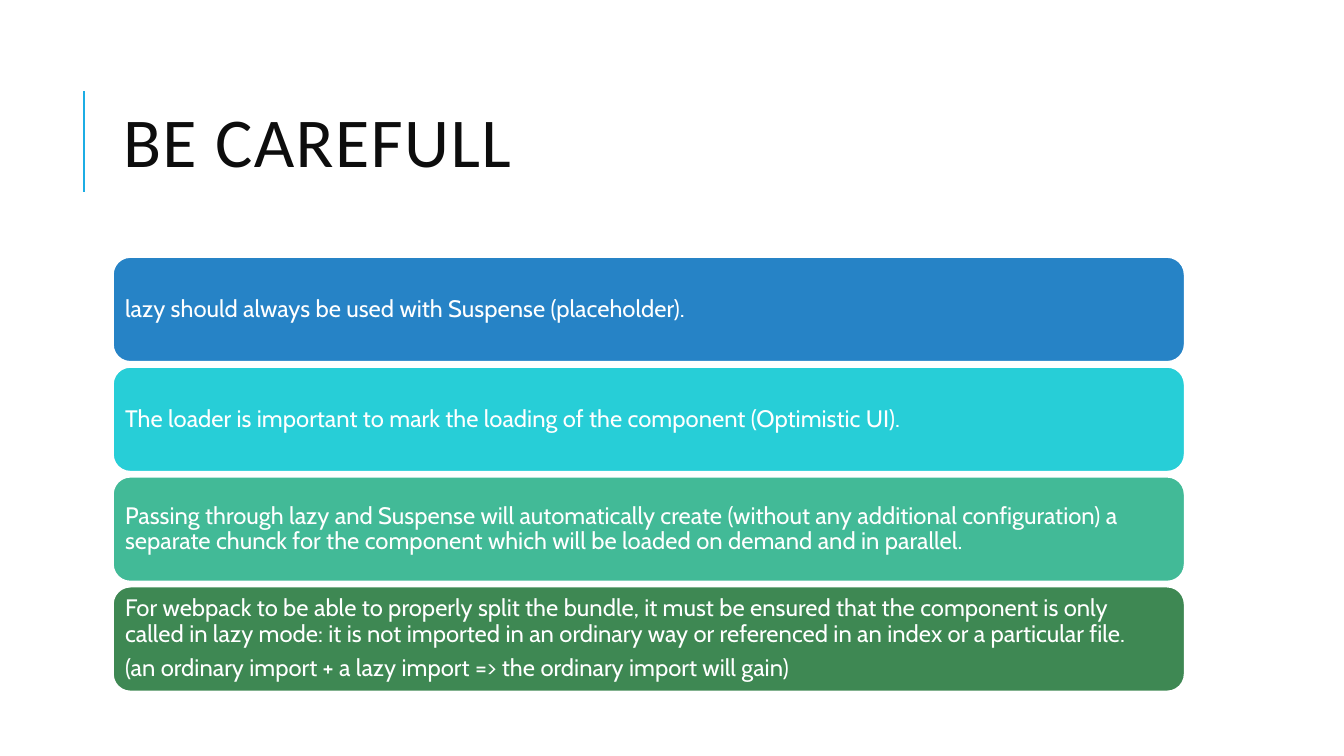
from dataclasses import dataclass

from pptx import Presentation
from pptx import util as u
from pptx.dml.color import RGBColor
from pptx.enum import shapes, text
from pptx.oxml.ns import qn

PX = 9144
SLIDE_W, SLIDE_H = 1333, 750
LEFT, WIDTH = 112, 1063
CARD_TOP, CARD_H, CARD_STEP = 255, 104, 109
CARD_INSET = 7


@dataclass(frozen=True)
class Theme:
    """Colours, fonts and type sizes of the slide."""

    accent: str = "1CADE4"
    ink: str = "0D0D0D"
    white: str = "FFFFFF"
    cards: tuple = ("2683C6", "27CED7", "42BA97", "3E8853")
    title_font: str = "Calibri"
    body_font: str = "Cabin"
    title_size: int = 50
    body_size: int = 17
    line_width: float = 1.5
    border_width: float = 1.25


THEME = Theme()

WARNINGS = [
    ["lazy should always be used with Suspense (placeholder)."],
    ["The loader is important to mark the loading of the component (Optimistic UI)."],
    ["Passing through lazy and Suspense will automatically create (without any "
     "additional configuration) a separate chunck for the component which will be "
     "loaded on demand and in parallel."],
    ["For webpack to be able to properly split the bundle, it must be ensured that "
     "the component is only called in lazy mode: it is not imported in an ordinary "
     "way or referenced in an index or a particular file.",
     "(an ordinary import + a lazy import => the ordinary import will gain)"],
]


def px(*lengths):
    """Turn pixel lengths into EMU."""
    return [u.Emu(n * PX) for n in lengths]


def rgb(value):
    """Return the colour for a hex string."""
    return RGBColor.from_string(value)


def style_font(font, name, size, color):
    """Set the face, size and colour of a font."""
    font.name, font.size = name, u.Pt(size)
    font.color.rgb = rgb(color)


def add_accent_line(slide, x, top, bottom):
    """Draw the vertical line beside the title."""
    line = slide.shapes.add_connector(
        shapes.MSO_CONNECTOR.STRAIGHT, *px(x, bottom, x, top))
    line.line.color.rgb = rgb(THEME.accent)
    line.line.width = u.Pt(THEME.line_width)
    sp_pr = line._element.spPr
    sp_pr.append(sp_pr.makeelement(qn("a:effectLst"), {}))


def set_title(slide, wording):
    """Place and format the title placeholder."""
    sp = slide.shapes.title
    sp.left, sp.top, sp.width, sp.height = px(LEFT, 64, WIDTH, 164)
    tf = sp.text_frame
    tf.text = wording
    tf.auto_size = text.MSO_AUTO_SIZE.NONE
    tf.vertical_anchor = text.MSO_ANCHOR.MIDDLE
    p = tf.paragraphs[0]
    p.alignment = text.PP_ALIGN.LEFT
    p.line_spacing = 0.8
    r = p.runs[0]
    style_font(r.font, THEME.title_font, THEME.title_size, THEME.ink)
    r.font._element.set("spc", "100")


def add_card(slide, top, color, paragraphs):
    """Add a rounded card holding the given paragraphs."""
    sp = slide.shapes.add_shape(
        shapes.MSO_SHAPE.ROUNDED_RECTANGLE, *px(LEFT, top, WIDTH, CARD_H))
    sp.shadow.inherit = False
    sp.fill.solid()
    sp.fill.fore_color.rgb = rgb(color)
    sp.line.color.rgb = rgb(THEME.white)
    sp.line.width = u.Pt(THEME.border_width)
    tf = sp.text_frame
    tf.word_wrap = True
    tf.vertical_anchor = text.MSO_ANCHOR.MIDDLE
    tf.margin_left, tf.margin_top, tf.margin_right, tf.margin_bottom = px(
        *[CARD_INSET] * 4)
    tf.text = "\n".join(paragraphs)
    for p in tf.paragraphs:
        p.alignment = text.PP_ALIGN.LEFT
        p.line_spacing = 0.9
        p.space_after = u.Pt(6)
        style_font(p.runs[0].font, THEME.body_font, THEME.body_size, THEME.white)


def main():
    """Build the slide and save it."""
    prs = Presentation()
    prs.slide_width, prs.slide_height = px(SLIDE_W, SLIDE_H)
    slide = prs.slides.add_slide(prs.slide_layouts[5])
    add_accent_line(slide, 83, 90, 190)
    set_title(slide, "BE CAREFULL")
    for i, (color, paragraphs) in enumerate(zip(THEME.cards, WARNINGS)):
        add_card(slide, CARD_TOP + i * CARD_STEP, color, paragraphs)
    prs.save("out.pptx")


if __name__ == "__main__":
    main()
